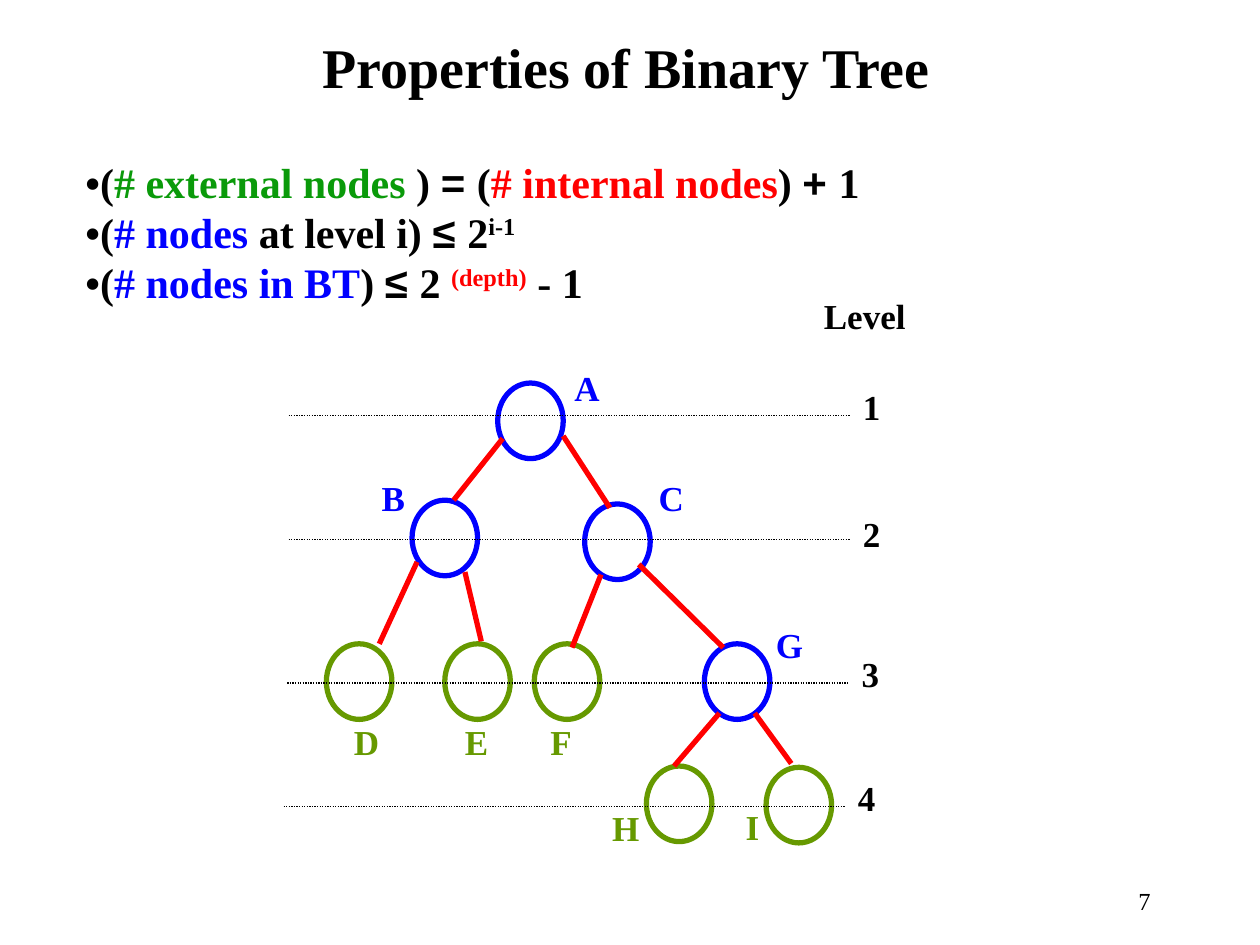
from typing import NamedTuple

from lxml.etree import SubElement
from pptx import Presentation
from pptx.dml.color import RGBColor
from pptx.enum.dml import MSO_LINE
from pptx.enum.shapes import MSO_CONNECTOR, MSO_SHAPE
from pptx.enum.text import MSO_AUTO_SIZE, PP_ALIGN
from pptx.oxml.ns import qn
from pptx.util import Inches, Pt

BLACK, BLUE, RED = "000000", "0000FF", "FF0000"
GREEN, OLIVE = "0A9A0A", "669900"
SERIF, SANS = "Times New Roman", "Arial"


class Run(NamedTuple):
    text: str
    color: str = BLACK
    face: str = SERIF
    raised: bool = False


class Node(NamedTuple):
    name: str
    x: float
    y: float
    color: str
    label_x: float
    label_y: float
    label_w: float


class Edge(NamedTuple):
    x1: float
    y1: float
    x2: float
    y2: float


class Level(NamedTuple):
    x: float
    y: float
    label_y: float


NODES = [
    Node("A", 3.95, 3.04, BLUE, 4.46, 2.86, 0.4),
    Node("B", 3.27, 3.97, BLUE, 2.93, 3.73, 0.38),
    Node("C", 4.64, 4.0, BLUE, 5.13, 3.73, 0.4),
    Node("D", 2.59, 5.11, OLIVE, 2.71, 5.67, 0.4),
    Node("E", 3.53, 5.11, OLIVE, 3.59, 5.67, 0.38),
    Node("F", 4.24, 5.11, OLIVE, 4.27, 5.67, 0.37),
    Node("G", 5.59, 5.11, BLUE, 6.06, 4.9, 0.41),
    Node("H", 5.13, 6.08, OLIVE, 4.76, 6.35, 0.41),
    Node("I", 6.08, 6.09, OLIVE, 5.82, 6.34, 0.31),
]
EDGES = [
    Edge(3.99, 3.48, 3.6, 3.97), Edge(4.47, 3.46, 4.84, 4.03),
    Edge(3.31, 4.46, 3.01, 5.11), Edge(3.69, 4.54, 3.82, 5.09),
    Edge(4.77, 4.56, 4.54, 5.14), Edge(5.07, 4.48, 5.74, 5.14),
    Edge(5.71, 5.66, 5.35, 6.08), Edge(5.99, 5.66, 6.28, 6.06),
]
LEVELS = [
    Level(2.29, 3.3, 3.01), Level(2.29, 4.28, 4.02),
    Level(2.28, 5.42, 5.13), Level(2.25, 6.4, 6.11),
]
RULES = [
    [Run("•("), Run("# external nodes ", GREEN), Run(") "), Run("= ", face=SANS),
     Run("("), Run("# internal nodes", RED), Run(") "), Run("+ ", face=SANS), Run("1")],
    [Run("•("), Run("# nodes ", BLUE), Run("at level i) "), Run("≤ ", face=SANS),
     Run("2"), Run("i-1", raised=True)],
    [Run("•("), Run("# nodes in BT", BLUE), Run(") "), Run("≤ ", face=SANS),
     Run("2 "), Run("(depth)", RED, raised=True), Run(" - 1")],
]


def rgb(code: str) -> RGBColor:
    return RGBColor.from_string(code)


def add_text(slide, x: float, y: float, w: float, h: float, lines: list[list[Run]],
             size: float, bold: bool = True, align=PP_ALIGN.LEFT, wrap: bool = False):
    frame = slide.shapes.add_textbox(Inches(x), Inches(y), Inches(w), Inches(h)).text_frame
    frame.word_wrap = wrap
    frame.auto_size = MSO_AUTO_SIZE.NONE if wrap else MSO_AUTO_SIZE.SHAPE_TO_FIT_TEXT
    for i, line in enumerate(lines):
        para = frame.add_paragraph() if i else frame.paragraphs[0]
        para.alignment = align
        for part in line:
            run = para.add_run()
            run.text = part.text
            style = {"name": part.face, "size": Pt(size), "bold": bold}
            for key, value in style.items():
                setattr(run.font, key, value)
            run.font.color.rgb = rgb(part.color)
            if part.raised:
                run.font._element.set("baseline", "30000")


def add_label(slide, x: float, y: float, w: float, text: str, color: str = BLACK):
    add_text(slide, x, y, w, 0.44, [[Run(text, color)]], 20)


def set_line(line, color: str, width: float):
    line.color.rgb = rgb(color)
    line.width = Pt(width)


def add_line(slide, edge: Edge, color: str, width: float):
    line = slide.shapes.add_connector(MSO_CONNECTOR.STRAIGHT, *map(Inches, edge))
    set_line(line.line, color, width)
    SubElement(line._element.spPr, qn("a:effectLst"))
    return line


def add_node(slide, node: Node):
    oval = slide.shapes.add_shape(MSO_SHAPE.OVAL, Inches(node.x), Inches(node.y),
                                  Inches(0.52), Inches(0.6))
    oval.shadow.inherit = False
    oval.fill.background()
    set_line(oval.line, node.color, 3)


def main():
    deck = Presentation()
    deck.slide_width, deck.slide_height = Inches(10), Inches(7.5)
    slide = deck.slides.add_slide(deck.slide_layouts[6])

    # Title and properties
    add_text(slide, 0.58, 1.19, 6.56, 1.3, RULES, 24)
    add_text(slide, 2.46, 0.21, 5.08, 0.64, [[Run("Properties of Binary Tree")]], 32)

    # Tree
    for node in NODES:
        add_node(slide, node)
    for edge in EDGES:
        add_line(slide, edge, RED, 3)
    for node in NODES:
        add_label(slide, node.label_x, node.label_y, node.label_w, node.name, node.color)

    # Levels
    add_label(slide, 6.44, 2.29, 0.85, "Level")
    for i, level in enumerate(LEVELS, 1):
        end = level.x + 4.46
        line = add_line(slide, Edge(level.x, level.y, end, level.y), BLACK, 0.75)
        line.line.dash_style = MSO_LINE.ROUND_DOT
        add_label(slide, end, level.label_y, 0.34, str(i))

    # Slide number
    add_text(slide, 7.15, 6.98, 2.08, 0.5, [[Run("7")]], 14,
             bold=False, align=PP_ALIGN.RIGHT, wrap=True)

    deck.save("out.pptx")


if __name__ == "__main__":
    main()
